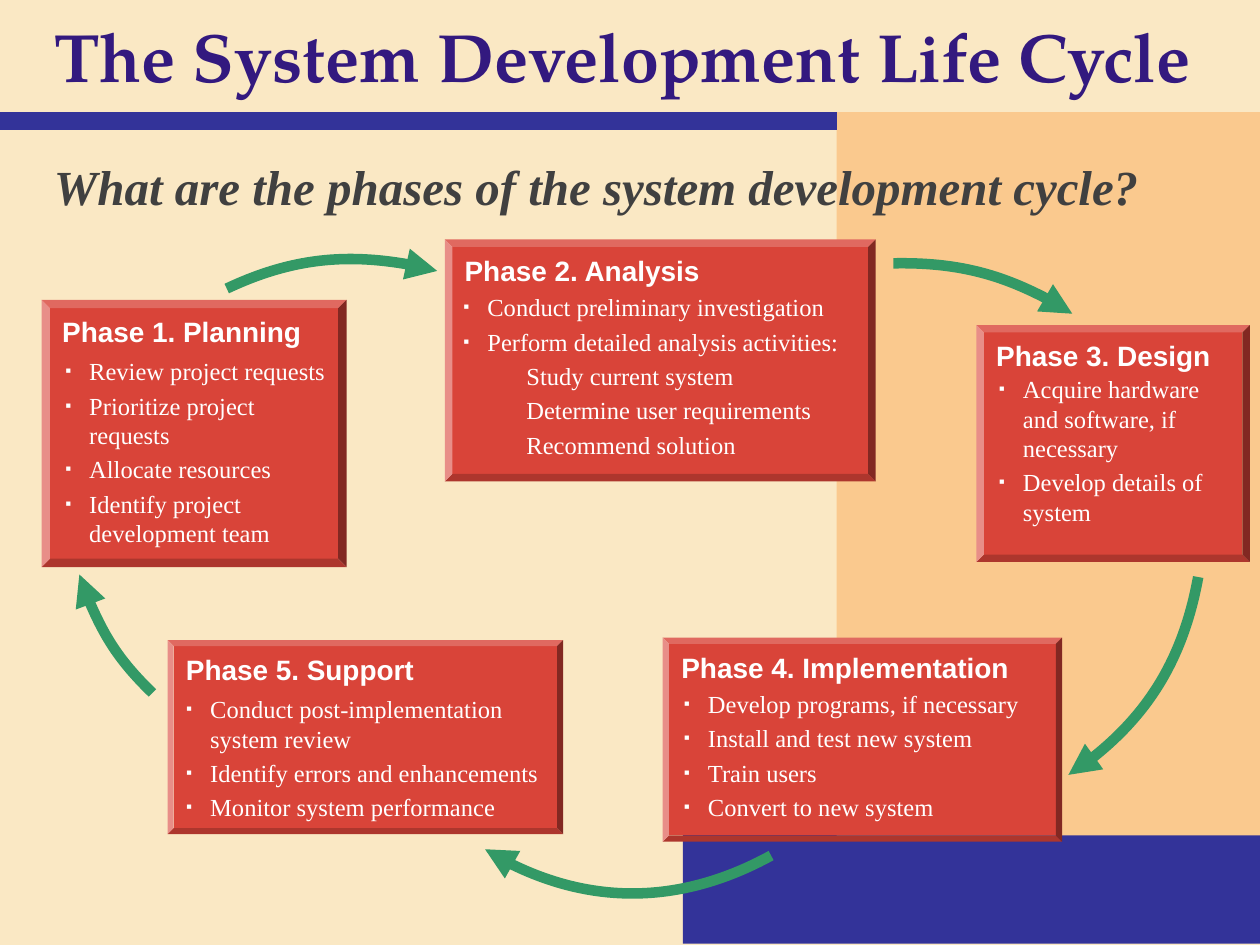
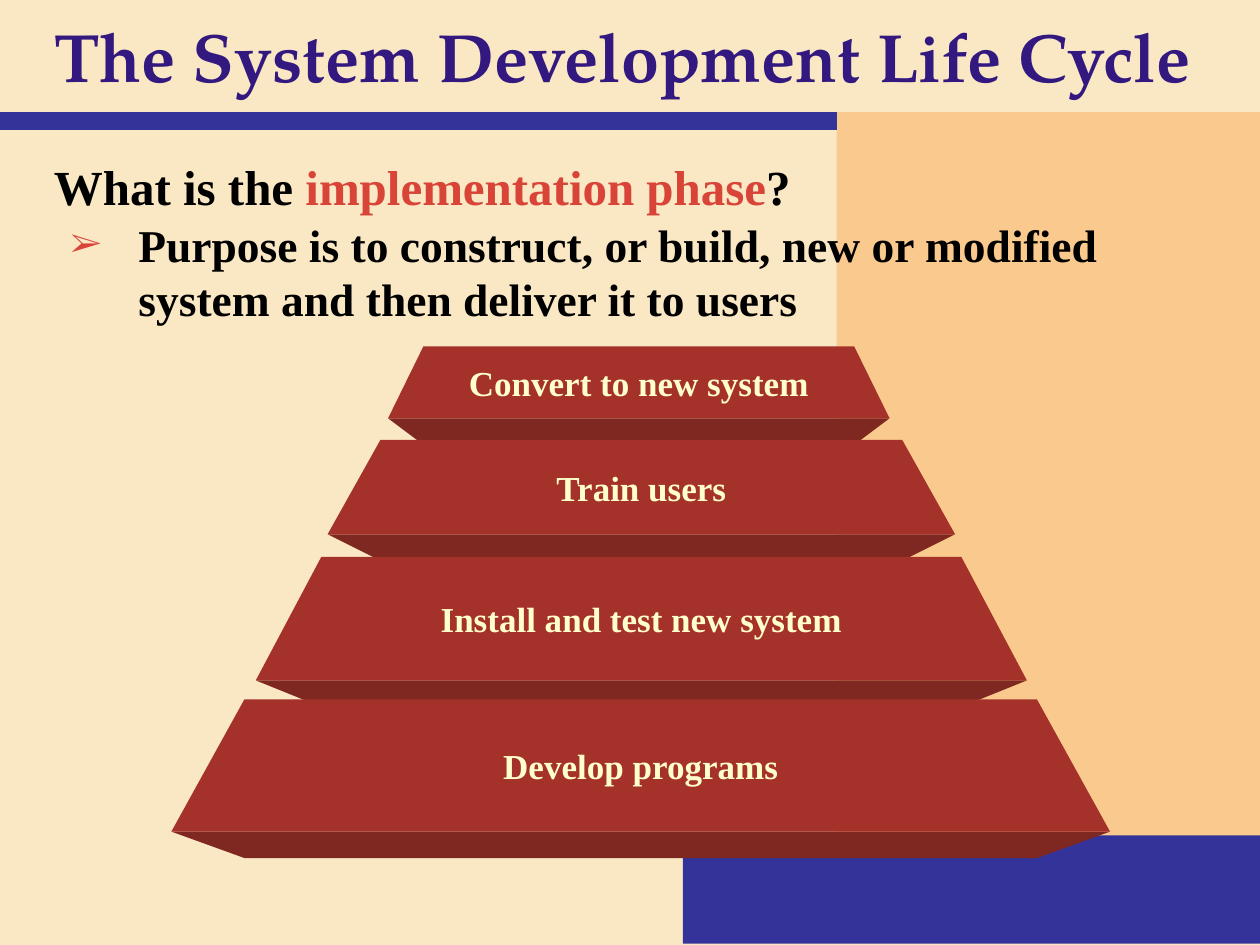
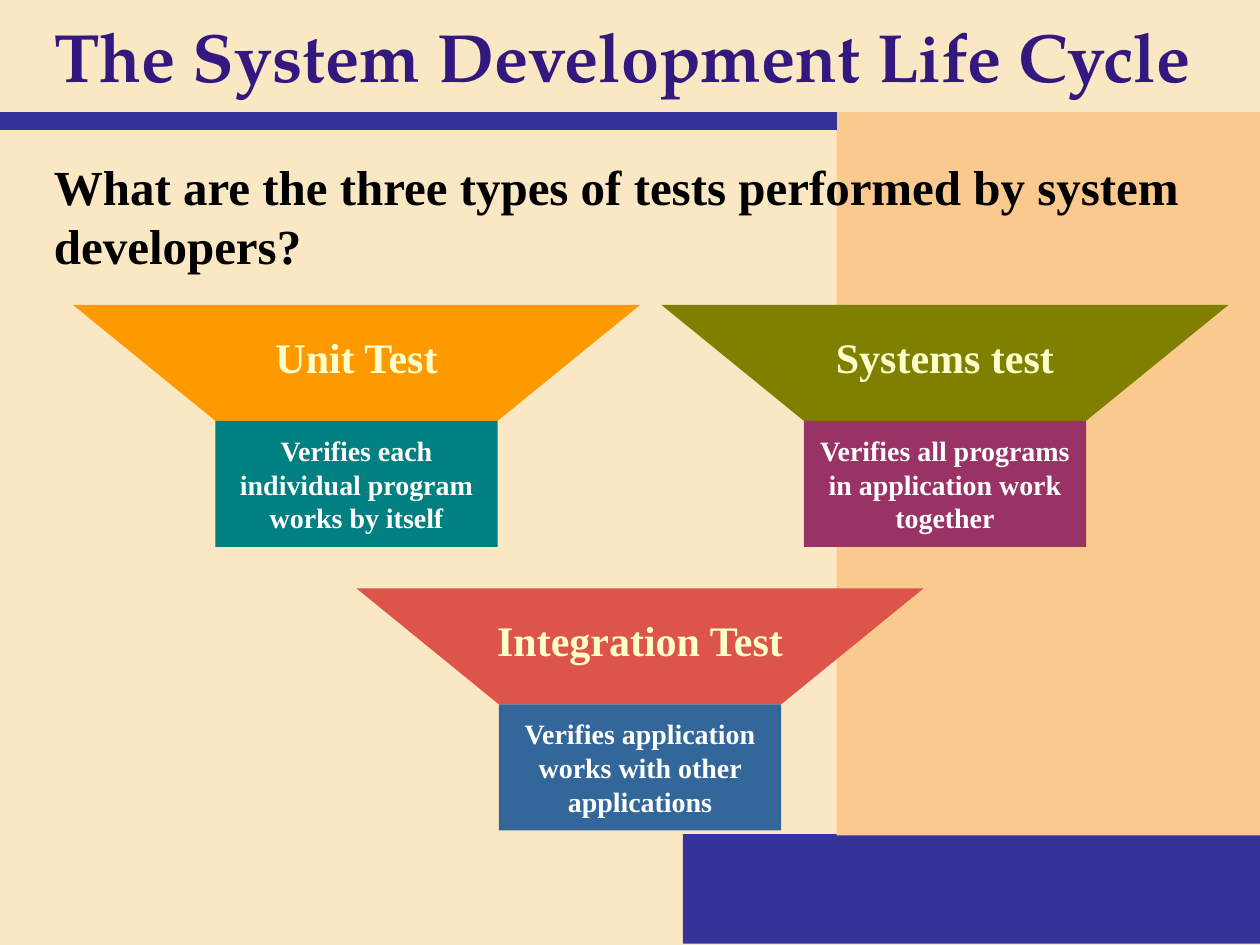
import pptx
import pptx.util
import pptx.dml.color
import pptx.enum.shapes
import pptx.enum.text
import pptx.oxml
import pptx.oxml.ns
from lxml import etree

Inches = pptx.util.Inches
Pt = pptx.util.Pt
RGB = pptx.dml.color.RGBColor
KIND = pptx.enum.shapes.MSO_SHAPE
ALIGN = pptx.enum.text.PP_ALIGN
ANCHOR = pptx.enum.text.MSO_ANCHOR
qn = pptx.oxml.ns.qn

CREAM = RGB(0xFA, 0xE8, 0xC4)
PEACH = RGB(0xFA, 0xC9, 0x8E)
NAVY = RGB(0x33, 0x33, 0x99)
PURPLE = RGB(0x33, 0x19, 0x7F)
GRAY = RGB(0x40, 0x40, 0x40)
BLACK = RGB(0, 0, 0)
WHITE = RGB(0xFF, 0xFF, 0xFF)
PALE = RGB(0xFF, 0xFF, 0xCC)
RED = RGB(0xD9, 0x44, 0x39)
BRICK = RGB(0xA5, 0x31, 0x2B)
MAROON = RGB(0x7F, 0x28, 0x21)
GREEN = RGB(0x33, 0x99, 0x66)
ORANGE = RGB(0xFF, 0x99, 0x00)
OLIVE = RGB(0x80, 0x80, 0x00)
CORAL = RGB(0xDC, 0x54, 0x4A)
TEAL = RGB(0x00, 0x80, 0x80)
PLUM = RGB(0x99, 0x33, 0x66)
BLUE = RGB(0x33, 0x66, 0x99)

SERIF = "Times New Roman"
TITLE = "The System Development Life Cycle"

PHASES = [
    ("Phase 1. Planning", (0.33, 2.38, 2.42, 2.12), (0.42, 2.78, 2.33, 1.64),
     ["Review project requests", "Prioritize project requests",
      "Allocate resources", "Identify project development team"], []),
    ("Phase 2. Analysis", (3.53, 1.9, 3.42, 1.92), (3.58, 2.27, 3.33, 1.45),
     ["Conduct preliminary investigation",
      "Perform detailed analysis activities:"],
     ["Study current system", "Determine user requirements",
      "Recommend solution"]),
    ("Phase 3. Design", (7.75, 2.58, 2.17, 1.88), (7.83, 2.92, 1.92, 1.31),
     ["Acquire hardware and software, if necessary",
      "Develop details of system"], []),
    ("Phase 4. Implementation", (5.26, 5.06, 3.17, 1.62),
     (5.33, 5.42, 2.92, 1.17),
     ["Develop programs, if necessary", "Install and test new system",
      "Train users", "Convert to new system"], []),
    ("Phase 5. Support", (1.33, 5.08, 3.14, 1.54), (1.38, 5.46, 3.03, 1.12),
     ["Conduct post-implementation system review",
      "Identify errors and enhancements", "Monitor system performance"], []),
]

ARCS = [
    [(1.8, 2.29), (2.33, 2.04), (2.93, 2), (3.47, 2.15)],
    [(7.09, 2.09), (7.6, 2.08), (8.1, 2.22), (8.51, 2.49)],
    [(9.51, 4.58), (9.39, 5.24), (9.02, 5.81), (8.48, 6.15)],
    [(6.12, 6.79), (5.39, 7.19), (4.52, 7.17), (3.85, 6.74)],
    [(1.21, 5.5), (0.94, 5.24), (0.74, 4.91), (0.63, 4.56)],
]

TIERS = [
    ("Convert to new system", 3.08, 2.75, 3.98, 0.57, 0.28),
    ("Train users", 2.6, 3.49, 4.98, 0.75, 0.42),
    ("Install and test new system", 2.03, 4.42, 6.12, 0.98, 0.52),
    ("Develop programs", 1.36, 5.55, 7.45, 1.05, 0.58),
]

TESTS = [
    ("Unit Test", "Verifies each individual program works by itself",
     0.58, 2.42, ORANGE, TEAL),
    ("Systems test", "Verifies all programs in application work together",
     5.25, 2.42, OLIVE, PLUM),
    ("Integration Test", "Verifies application works with other applications",
     2.83, 4.67, CORAL, BLUE),
]


def inch(box):
    return [Inches(v) for v in box]


def style(run, size, color, font=SERIF, bold=True, italic=False):
    run.font.size = Pt(size)
    run.font.name = font
    run.font.bold = bold
    run.font.italic = italic
    run.font.color.rgb = color


def write(para, text, size, color, **look):
    run = para.add_run()
    run.text = text
    style(run, size, color, **look)


def indent(para, left, first=0):
    props = para._p.get_or_add_pPr()
    props.set("marL", str(Inches(left)))
    props.set("indent", str(Inches(first)))
    return props


def bullet(para, mark, left, hang, scale, color=None):
    props = indent(para, left, -hang)
    if color is not None:
        tint = etree.SubElement(props, qn("a:buClr"))
        etree.SubElement(tint, qn("a:srgbClr")).set("val", str(color))
    etree.SubElement(props, qn("a:buSzPct")).set("val", str(scale * 1000))
    etree.SubElement(props, qn("a:buFont")).set("typeface", "Wingdings"
                                                if mark is None else SERIF)
    etree.SubElement(props, qn("a:buChar")).set("char", mark)


def paint(shape, color):
    shape.shadow.inherit = False
    shape.fill.solid()
    shape.fill.fore_color.rgb = color
    shape.line.fill.background()


def block(slide, kind, box, color):
    shape = slide.shapes.add_shape(kind, *inch(box))
    paint(shape, color)
    return shape


def outline(slide, points, close=True):
    pairs = [inch(p) for p in points]
    draft = slide.shapes.build_freeform(*pairs[0])
    draft.add_line_segments(pairs[1:], close=close)
    return draft.convert_to_shape()


def poly(slide, points, color):
    shape = outline(slide, points)
    paint(shape, color)
    return shape


def arc(slide, points):
    shape = outline(slide, points, close=False)
    shape.shadow.inherit = False
    shape.fill.background()
    shape.line.color.rgb = GREEN
    shape.line.width = Pt(6)
    steps = shape._element.findall(".//" + qn("a:lnTo"))
    curve = etree.Element(qn("a:cubicBezTo"))
    steps[0].addprevious(curve)
    for step in steps:
        curve.append(step[0])
        step.getparent().remove(step)
    line = shape.line._get_or_add_ln()
    etree.SubElement(line, qn("a:tailEnd")).set("type", "triangle")


def label(shape, text, size, color, font=SERIF, align=ALIGN.CENTER,
          anchor=ANCHOR.MIDDLE):
    frame = shape.text_frame
    frame.word_wrap = True
    frame.vertical_anchor = anchor
    para = frame.paragraphs[0]
    para.alignment = align
    write(para, text, size, color, font=font)
    return frame


def textbox(slide, box):
    frame = slide.shapes.add_textbox(*inch(box)).text_frame
    frame.word_wrap = True
    return frame


def heading(slide, height, runs, italic=False):
    para = textbox(slide, (0.33, 1.19, 9.39, height)).paragraphs[0]
    para.space_before = Pt(5.6)
    for text, color in runs:
        write(para, text, 28, color, italic=italic)


def items(slide, box, tops, subs):
    frame = textbox(slide, box)
    for i, text in enumerate(tops + subs):
        para = frame.add_paragraph() if i else frame.paragraphs[0]
        para.space_before = Pt(2.8)
        if i < len(tops):
            bullet(para, "\u25aa", 0.19, 0.19, 70)
        else:
            para.level = 1
            indent(para, 0.5)
        write(para, text, 14, WHITE, bold=False)


def theme(deck, slide):
    master = deck.slide_master
    master.background.fill.solid()
    master.background.fill.fore_color.rgb = CREAM
    base = block(slide, KIND.RECTANGLE, (5.42, 6.62, 4.58, 0.87), NAVY)
    side = block(slide, KIND.RECTANGLE, (6.64, 0.89, 3.36, 5.74), PEACH)
    rule = slide.shapes.add_connector(
        pptx.enum.shapes.MSO_CONNECTOR.STRAIGHT,
        *inch((0, 0.96, 6.64, 0.96)))
    rule.line.color.rgb = NAVY
    rule.line.width = Pt(10)
    etree.SubElement(rule._element.spPr, qn("a:effectLst"))
    for i, part in enumerate((base, side, rule)):
        item = part._element
        item.find(".//" + qn("p:cNvPr")).set("id", str(101 + i))
        master.shapes._spTree.insert(2 + i, item)


def page(deck):
    slide = deck.slides.add_slide(deck.slide_layouts[5])
    title = slide.shapes.title
    title.left, title.top, title.width, title.height = inch(
        (0.33, 0, 9.39, 0.88))
    frame = label(title, TITLE, 39, PURPLE, "TeX Gyre Pagella", ALIGN.LEFT)
    frame.auto_size = pptx.enum.text.MSO_AUTO_SIZE.NONE
    return slide


def cycle(slide):
    heading(slide, 0.89,
            [("What are the phases of the system development cycle?", GRAY)],
            italic=True)
    for name, box, area, tops, subs in PHASES:
        card = block(slide, KIND.BEVEL, box, RED)
        card.adjustments[0] = 0.031
        label(card, name, 16, WHITE, "Arial", ALIGN.LEFT, ANCHOR.TOP)
        items(slide, area, tops, subs)
    for points in ARCS:
        arc(slide, points)


def pyramid(slide):
    heading(slide, 0.64, [("What is the ", BLACK),
                          ("implementation phase", RED), ("?", BLACK)])
    para = textbox(slide, (0.33, 1.67, 9.39, 1.47)).paragraphs[0]
    para.level = 1
    para.space_before = Pt(1.3)
    bullet(para, "\u27a2", 0.67, 0.54, 75, RED)
    write(para, "Purpose is to construct, or build, new or modified system "
          "and then deliver it to users", 26, BLACK)
    for text, left, top, width, height, slant in TIERS:
        right, low = left + width, top + height
        inner, outer = left + slant, right - slant
        poly(slide, [(left, low), (right, low), (outer, low + 0.21),
                     (inner, low + 0.21)], MAROON)
        face = poly(slide, [(inner, top), (outer, top), (right, low),
                            (left, low)], BRICK)
        label(face, text, 20, PALE)


def tests(slide):
    heading(slide, 1.22, [("What are the three types of tests performed by "
                           "system developers?", BLACK)])
    for name, note, left, top, color, tone in TESTS:
        low = top + 0.92
        cup = poly(slide, [(left, top), (left + 4.5, top),
                           (left + 3.37, low), (left + 1.13, low)], color)
        frame = label(cup, name, 24, PALE)
        frame.margin_top = 0
        frame.margin_bottom = Inches(0.1)
        stem = block(slide, KIND.RECTANGLE, (left + 1.13, low, 2.24, 1), tone)
        label(stem, note, 16, WHITE)


def main():
    deck = pptx.Presentation()
    deck.slide_width, deck.slide_height = inch((10, 7.5))
    slides = [page(deck) for _ in range(3)]
    theme(deck, slides[0])
    for draw, slide in zip((cycle, pyramid, tests), slides):
        draw(slide)
    deck.save("out.pptx")


main()
